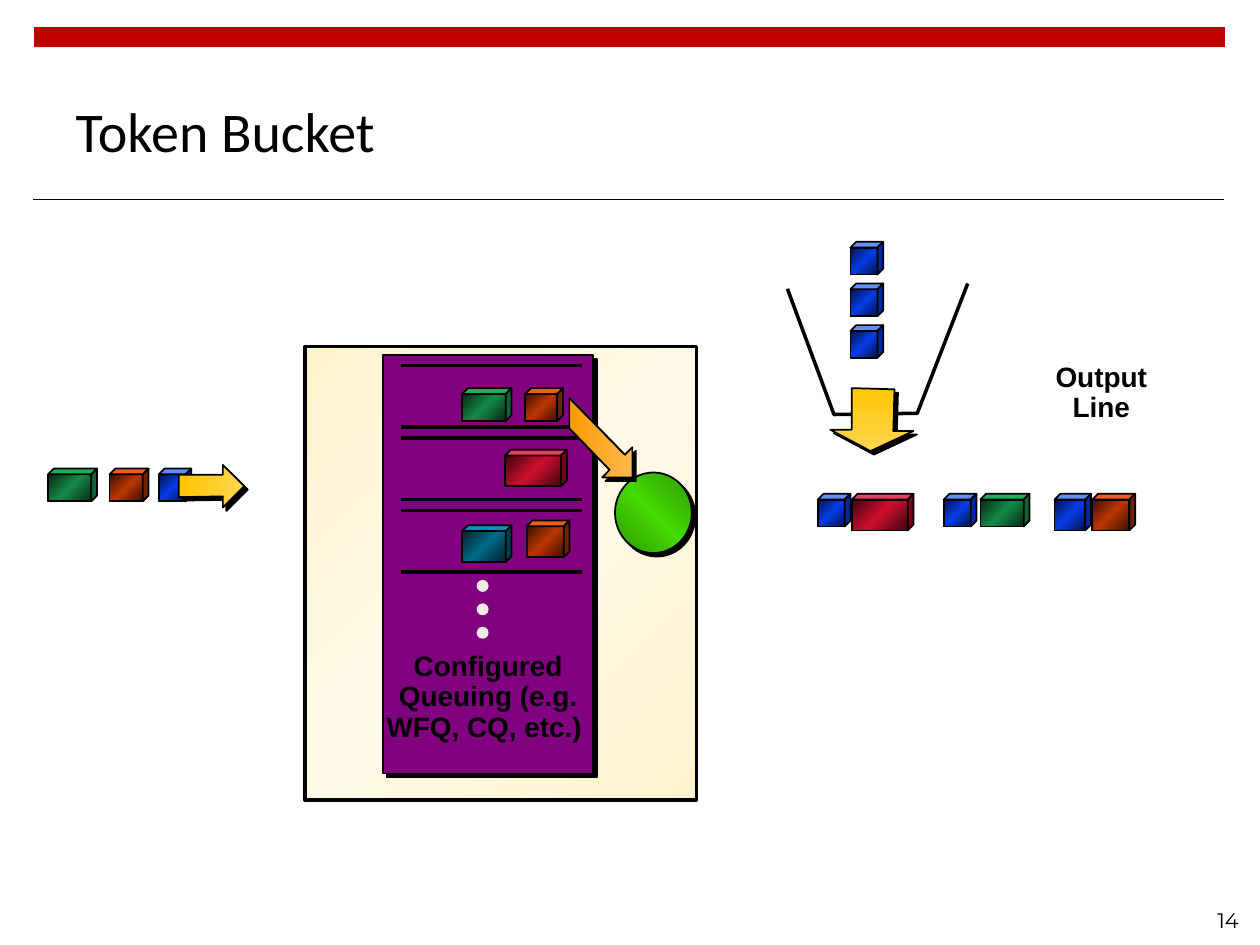
from lxml import etree
from pptx import Presentation
from pptx import util as u
from pptx.dml.color import RGBColor
from pptx.enum import shapes, text
from pptx.oxml.ns import qn

Pt = u.Pt
rgb = RGBColor.from_string
BLACK = rgb("000000")
RED = rgb("C00000")
PURPLE = rgb("800080")
DOT = rgb("EEECE1")
CREAM = (rgb("FFF3CE"), rgb("FFF9E6"), rgb("FFF3CE"))
GREEN = (rgb("2F9801"), rgb("43DA01"), rgb("2F9801"))
AMBER = (rgb("FE9B03"), rgb("FEB94E"))
GOLD = (rgb("FFC506"), rgb("FFD650"))
# Packet colours: dark edge, bright middle, top face, side face
PACKS = {
    "blue": [rgb(c) for c in ("021245", "063DE8", "618FFD", "00279F")],
    "orange": [rgb(c) for c in ("381000", "BC3700", "F35B1B", "712000")],
    "green": [rgb(c) for c in ("062915", "158A47", "1BB15B", "0F6333")],
    "red": [rgb(c) for c in ("3E040E", "CF0E30", "E5405D", "790015")],
    "teal": [rgb(c) for c in ("002029", "006C88", "0091B7", "003F50")],
}
DEPTH = 3.3
SMALL, LARGE = 18.7, 20.9
RECT = shapes.MSO_SHAPE.RECTANGLE
OVAL = shapes.MSO_SHAPE.OVAL


def blend(shape, tones, turn):
    """Fill with evenly spaced colour stops, turned clockwise."""
    shape.fill.gradient()
    shape.fill.gradient_angle = (360 - turn) % 360
    stops = shape._element.spPr.find(".//" + qn("a:gsLst"))
    for stop in list(stops):
        stops.remove(stop)
    for i, tone in enumerate(tones):
        pos = str(100000 * i // (len(tones) - 1))
        stop = etree.SubElement(stops, qn("a:gs"), pos=pos)
        etree.SubElement(stop, qn("a:srgbClr"), val=str(tone))


def paint(shape, fill, edge=BLACK, width=1, turn=45, drop=False):
    shape.shadow.inherit = False
    if fill is None:
        shape.fill.background()
    elif isinstance(fill, RGBColor):
        shape.fill.solid()
        shape.fill.fore_color.rgb = fill
    else:
        blend(shape, fill, turn)
    if edge is None:
        shape.line.fill.background()
    else:
        shape.line.color.rgb = edge
        shape.line.width = Pt(width)
    if drop:
        effects = shape._element.spPr.find(qn("a:effectLst"))
        cast = etree.SubElement(effects, qn("a:outerShdw"), dist=str(Pt(2.8)),
                                dir="2700000", algn="ctr", rotWithShape="0")
        etree.SubElement(cast, qn("a:srgbClr"), val=str(BLACK))


def block(parent, kind, x, y, w, h, fill, **look):
    shape = parent.add_shape(kind, Pt(x), Pt(y), Pt(w), Pt(h))
    paint(shape, fill, **look)


def trace(parent, x, y, points, fill, close=True, **look):
    spots = [(Pt(x + dx), Pt(y + dy)) for dx, dy in points]
    path = parent.build_freeform(*spots[0])
    path.add_line_segments(spots[1:], close=close)
    paint(path.convert_to_shape(), fill, **look)


def rule(parent, x, y, w, width):
    line = parent.add_connector(shapes.MSO_CONNECTOR.STRAIGHT,
                                Pt(x), Pt(y), Pt(x + w), Pt(y))
    line.line.color.rgb = BLACK
    line.line.width = Pt(width)
    etree.SubElement(line._element.spPr, qn("a:effectLst"))


def style(frame, words, font, size, align, bold=False):
    frame.text = words
    frame.word_wrap = True
    para = frame.paragraphs[0]
    para.alignment = align
    face = para.runs[0].font
    face.name, face.size, face.bold = font, Pt(size), bold
    face.color.rgb = BLACK
    return para


def label(parent, x, y, w, h, words):
    box = parent.add_textbox(Pt(x), Pt(y), Pt(w), Pt(h))
    para = style(box.text_frame, words, "Arial", 16, text.PP_ALIGN.CENTER, True)
    para.line_spacing = 0.9


def cube(parent, x, y, w, h, name):
    dark, bright, top, side = PACKS[name]
    group = parent.add_group_shape().shapes
    fw, fh = w - DEPTH, h - DEPTH
    block(group, RECT, x, y + DEPTH, fw, fh, (dark, bright, dark))
    trace(group, x, y, [(0, DEPTH), (DEPTH, 0), (w, 0), (fw, DEPTH)], top)
    trace(group, x, y, [(fw, h), (w, fh), (w, 0), (fw, DEPTH)], side)


def frame(slide, x, y, w):
    """Header bar, title, rule and page number."""
    parent = slide.shapes
    block(parent, RECT, x, y, w, 11.5, RED, edge=None)
    rule(parent, x - 0.6, y + 98.7, w, 0.6)
    title = parent.title
    title.left, title.top, title.width, title.height = Pt(36), Pt(37.4), Pt(479.5), Pt(74.2)
    style(title.text_frame, "Token Bucket", "Calibri", 32, text.PP_ALIGN.LEFT)
    title.text_frame.vertical_anchor = text.MSO_ANCHOR.MIDDLE
    page = parent.add_textbox(Pt(547.2), Pt(511.2), Pt(167.8), Pt(28.8)).text_frame
    style(page, "14", "Montserrat", 12, text.PP_ALIGN.RIGHT)
    page.vertical_anchor = text.MSO_ANCHOR.MIDDLE


def arrive(parent, x, y):
    """Incoming packets and their arrow."""
    for dx, w, name in ((0, 28.1, "green"), (35.2, 22.3, "orange"), (63.3, SMALL, "blue")):
        cube(parent, x + dx, y, w, SMALL, name)
    trace(parent, x + 74.8, y - 2.1,
          [(0, 5.6), (25.2, 5.6), (25.2, 0), (37.4, 12.1), (25.2, 24.3),
           (25.2, 18), (0, 18.4)], GOLD, turn=0, drop=True)


def router(parent, x, y, w, h):
    """Queues, scheduler and the arrow between them."""
    block(parent, RECT, x, y, w, h, CREAM, width=2)
    block(parent, RECT, x + 44.7, y + 5, 120.2, 239, PURPLE, drop=True)
    label(parent, x + 37.5, y + 171.4, 134.6, 59.8,
          "Configured Queuing (e.g. WFQ, CQ, etc.) ")
    for i in range(3):
        for gap in (0, 35.3):
            rule(parent, x + 54.8, y + 10.8 + 41.4 * i + gap, 103.7, 2)
        block(parent, OVAL, x + 98.7, y + 133.9 + 13.4 * i, 5.8, 5.8, DOT, edge=DOT)
    for dx, dy, cw, ch, name in (
            (90, 23.8, 28.1, SMALL, "green"), (126, 23.8, 21.6, SMALL, "orange"),
            (114.5, 59, 35.3, LARGE, "red"),
            (90, 102.2, 28.1, LARGE, "teal"), (126.8, 99.4, 24.5, LARGE, "orange")):
        cube(parent, x + dx, y + dy, cw, ch, name)
    block(parent, OVAL, x + 177.2, y + 72, 43.9, 46.1, GREEN, turn=315, drop=True)
    trace(parent, x + 151.2, y + 29.5,
          [(0, 0), (31.7, 32.4), (36, 28.1), (36, 45.4), (18.7, 45.4), (23, 41),
           (0, 17.3)], AMBER, turn=0, drop=True)


def bucket(parent, x, y):
    """Tokens dropping through the bucket."""
    trace(parent, x, y, [(0, 26.9), (26.6, 98.7), (74.2, 98), (103, 23.8)],
          None, close=False, width=2)
    for i in range(3):
        cube(parent, x + 36, y + 23.8 * i, SMALL, SMALL, "blue")
    trace(parent, x + 24.5, y + 83.6,
          [(36.7, 0.7), (36, 24.5), (47.5, 24.5), (23, 36), (0, 23.8), (12.2, 23.8),
           (12.2, 0)], GOLD, turn=90, drop=True)


def output(parent, x, y):
    """Packets paired with tokens on the output line."""
    for dx, w, h, name in (
            (0, SMALL, SMALL, "blue"), (19.4, 35.3, LARGE, "red"),
            (72, SMALL, SMALL, "blue"), (92.9, 28.1, SMALL, "green"),
            (135.3, LARGE, LARGE, "blue"), (156.9, 24.5, LARGE, "orange")):
        cube(parent, x + dx, y, w, h, name)
    label(parent, x + 114.5, y - 78.4, 95, 42.5, "Output Line")


def main():
    deck = Presentation()
    deck.slide_width, deck.slide_height = Pt(720), Pt(540)
    slide = deck.slides.add_slide(deck.slide_layouts[5])
    frame(slide, 19.5, 15.5, 680.4)
    router(slide.shapes, 174.2, 198, 223.9, 259.2)
    arrive(slide.shapes, 27.4, 267.8)
    bucket(slide.shapes, 450, 138.2)
    output(slide.shapes, 467.3, 282.2)
    deck.save("out.pptx")


if __name__ == "__main__":
    main()
